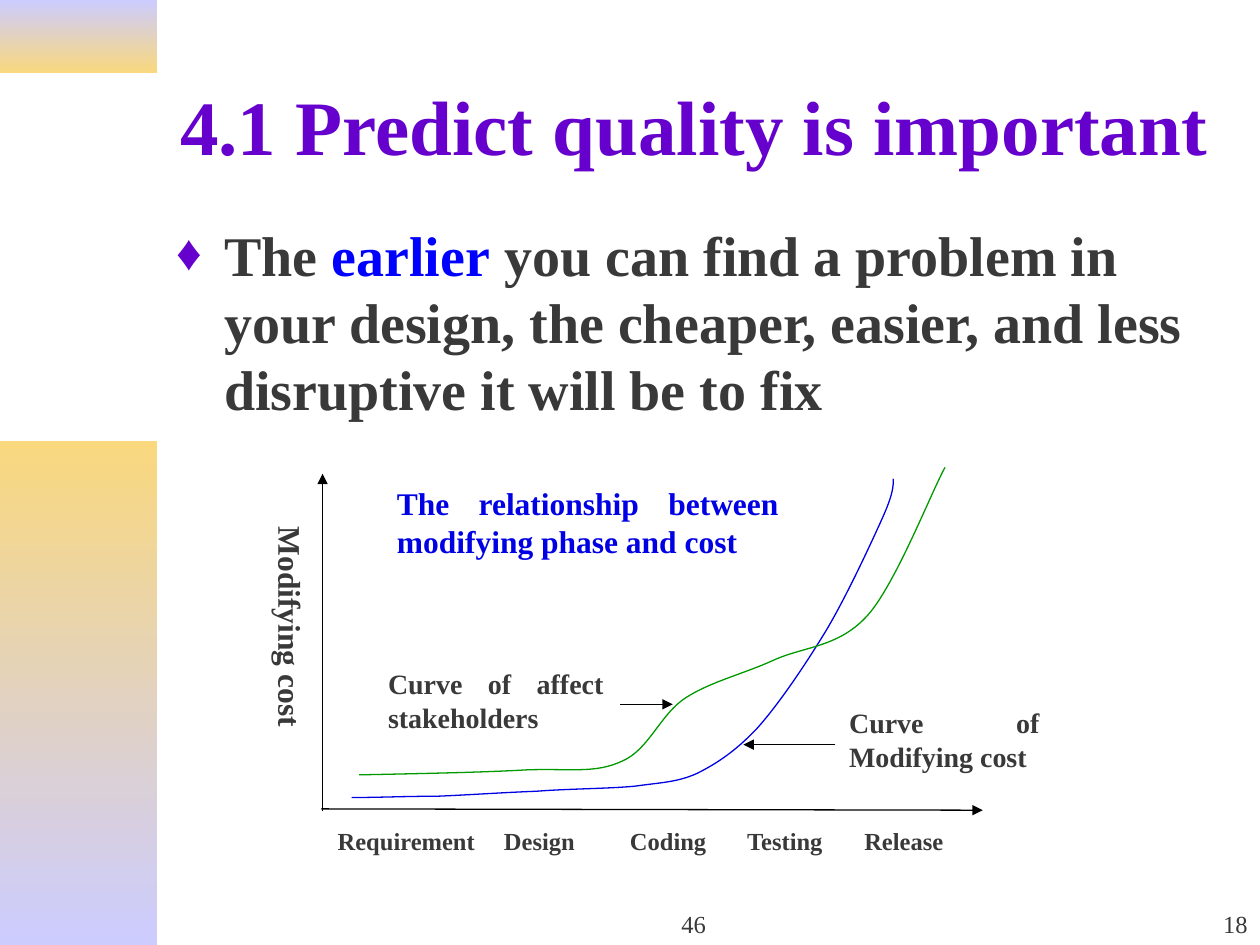
from lxml.etree import SubElement
from pptx import Presentation
from pptx.dml.color import RGBColor
from pptx.enum.shapes import MSO_CONNECTOR, MSO_SHAPE
from pptx.enum.text import MSO_ANCHOR, MSO_AUTO_SIZE, PP_ALIGN
from pptx.oxml.ns import qn
from pptx.util import Inches, Pt

COLORS = {
    "title": "6600CC", "text": "393939", "accent": "0000FF",
    "cost": "0000E5", "stakeholders": "009900", "axis": "000000",
    "lavender": "CCCCFF", "gold": "F9D87E",
}
FONT = "Times New Roman"
LABEL_INSETS = (0.06, 0.01)
BOX_INSETS = (0.1, 0.05)


def rgb(name):
    """Return the palette colour with this name."""
    return RGBColor.from_string(COLORS[name])


class SlideBuilder:
    """Holds the shared style and the slide being built."""

    def __init__(self, slide):
        self.slide = slide
        self.shapes = slide.shapes

    def style(self, run, size, color="text", bold=True):
        """Format one run of text."""
        run.font.name = FONT
        run.font.size = Pt(size)
        run.font.bold = bold
        run.font.color.rgb = rgb(color)

    def title(self, text, box):
        """Fill and place the title placeholder."""
        heading = self.shapes.title
        heading.left, heading.top, heading.width, heading.height = map(Inches, box)
        frame = heading.text_frame
        frame.text = text
        frame.auto_size = MSO_AUTO_SIZE.NONE
        frame.vertical_anchor = MSO_ANCHOR.MIDDLE
        frame.paragraphs[0].alignment = PP_ALIGN.LEFT
        self.style(frame.paragraphs[0].runs[0], 44, "title")

    def band(self, box, first, last):
        """Add a rectangle shaded from top to bottom."""
        band = self.shapes.add_shape(MSO_SHAPE.RECTANGLE, *map(Inches, box))
        band.shadow.inherit = False
        band.line.fill.background()
        band.fill.gradient()
        band.fill.gradient_angle = 270
        for stop, color in zip(band.fill.gradient_stops, (first, last)):
            stop.color.rgb = rgb(color)

    def text(self, text, box, size, color="text", bold=True, align=PP_ALIGN.JUSTIFY,
             anchor=MSO_ANCHOR.TOP, insets=LABEL_INSETS):
        """Add a wrapped text box and return its frame."""
        frame = self.shapes.add_textbox(*map(Inches, box)).text_frame
        frame.word_wrap = True
        frame.vertical_anchor = anchor
        frame.margin_left = frame.margin_right = Inches(insets[0])
        frame.margin_top = frame.margin_bottom = Inches(insets[1])
        frame.text = text
        frame.paragraphs[0].alignment = align
        self.style(frame.paragraphs[0].runs[0], size, color, bold)
        return frame

    def bullet(self, parts, box):
        """Add a diamond bullet made of (text, colour) parts."""
        first, *others = parts
        frame = self.text(first[0], box, 32, first[1], align=PP_ALIGN.LEFT, insets=BOX_INSETS)
        paragraph = frame.paragraphs[0]
        for words, color in others:
            run = paragraph.add_run()
            run.text = words
            self.style(run, 32, color)
        properties = paragraph._p.get_or_add_pPr()
        properties.set("marL", str(Inches(0.38)))
        properties.set("indent", str(-Inches(0.38)))
        bullet_color = SubElement(properties, qn("a:buClr"))
        SubElement(bullet_color, qn("a:srgbClr"), val=COLORS["title"])
        SubElement(properties, qn("a:buSzPct"), val="90000")
        SubElement(properties, qn("a:buFont"), typeface=FONT)
        SubElement(properties, qn("a:buChar"), char="♦")

    def vertical_text(self, text, box, size):
        """Add text that reads from top to bottom."""
        frame = self.text(text, box, size, insets=(0.01, 0.02))
        frame._txBody.bodyPr.set("vert", "eaVert")

    def arrow(self, start, end):
        """Add a thin line with an arrowhead at its end."""
        arrow = self.shapes.add_connector(
            MSO_CONNECTOR.STRAIGHT, *map(Inches, (*start, *end)))
        arrow.line.color.rgb = rgb("axis")
        arrow.line.width = Pt(0.75)
        SubElement(arrow.line._get_or_add_ln(), qn("a:tailEnd"), type="triangle")
        SubElement(arrow._element.spPr, qn("a:effectLst"))

    def curve(self, start, segments, color):
        """Add an open outline of cubic Bezier segments."""
        outline = self.shapes.build_freeform(*map(Inches, start))
        ends = [tuple(map(Inches, segment[4:])) for segment in segments]
        outline.add_line_segments(ends, close=False)
        curve = outline.convert_to_shape()
        lines = list(curve._element.iter(qn("a:lnTo")))
        for line, segment in zip(lines, segments):
            bezier = SubElement(line.getparent(), qn("a:cubicBezTo"))
            for x, y in zip(segment[::2], segment[1::2]):
                SubElement(bezier, qn("a:pt"), x=str(Inches(x) - curve.left),
                           y=str(Inches(y) - curve.top))
            line.getparent().replace(line, bezier)
        curve.shadow.inherit = False
        curve.fill.background()
        curve.line.color.rgb = rgb(color)
        curve.line.width = Pt(0.75)


def main():
    """Build the slide and save it."""
    deck = Presentation()
    deck.slide_width, deck.slide_height = Inches(10), Inches(7.5)
    builder = SlideBuilder(deck.slides.add_slide(deck.slide_layouts[5]))

    builder.band((0, 0, 1.25, 0.58), "lavender", "gold")
    builder.band((0, 3.5, 1.25, 4), "gold", "lavender")
    builder.title("4.1 Predict quality is important", (1.33, 0.33, 8.5, 1.32))
    builder.bullet([
        ("The ", "text"),
        ("earlier", "accent"),
        (" you can find a problem in your design, the cheaper, easier, "
         "and less disruptive it will be to fix", "text"),
    ], (1.3, 1.7, 8.5, 2.05))

    for number, left, width, align in (
        ("46", 3.92, 3.17, PP_ALIGN.CENTER),
        ("18", 7.92, 2.08, PP_ALIGN.RIGHT),
    ):
        builder.text(number, (left, 7, width, 0.5), 14, bold=False, align=align,
                     anchor=MSO_ANCHOR.BOTTOM, insets=BOX_INSETS)

    builder.arrow((2.55, 6.42), (7.8, 6.43))
    builder.arrow((2.56, 6.44), (2.56, 3.76))
    builder.vertical_text("Modifying cost", (2.13, 4.16, 0.34, 1.75), 18)
    for phase, left, width in (
        ("Requirement", 2.62, 1.32),
        ("Design", 3.94, 0.74),
        ("Coding", 4.94, 0.74),
        ("Testing", 5.87, 0.74),
        ("Release", 6.8, 0.93),
    ):
        builder.text(phase, (left, 6.55, width, 0.26), 14)

    builder.curve((2.79, 6.33), [
        (3.01, 6.33, 3.22, 6.32, 3.47, 6.32),
        (3.71, 6.31, 4, 6.29, 4.26, 6.28),
        (4.52, 6.26, 4.83, 6.26, 5.04, 6.24),
        (5.25, 6.21, 5.37, 6.21, 5.53, 6.14),
        (5.69, 6.06, 5.84, 5.96, 6.01, 5.78),
        (6.18, 5.59, 6.39, 5.28, 6.56, 5),
        (6.72, 4.73, 6.91, 4.32, 7, 4.12),
        (7.09, 3.92, 7.09, 3.86, 7.09, 3.8),
    ], "cost")
    builder.curve((2.85, 6.15), [
        (3.35, 6.14, 3.85, 6.13, 4.19, 6.11),
        (4.54, 6.1, 4.73, 6.14, 4.94, 6.04),
        (5.15, 5.95, 5.24, 5.67, 5.44, 5.54),
        (5.64, 5.41, 5.9, 5.35, 6.14, 5.24),
        (6.38, 5.13, 6.66, 5.14, 6.89, 4.88),
        (7.11, 4.63, 7.39, 3.91, 7.5, 3.71),
    ], "stakeholders")

    builder.text("Curve of Modifying cost", (6.68, 5.59, 1.63, 0.56), 16)
    builder.text("Curve of affect stakeholders", (3.02, 5.28, 1.83, 0.64), 16)
    builder.arrow((4.92, 5.59), (5.34, 5.59))
    builder.arrow((6.63, 5.91), (5.9, 5.91))
    builder.text("The relationship between modifying phase and cost",
                 (3.09, 3.83, 3.15, 0.64), 18, "cost")

    deck.save("out.pptx")


if __name__ == "__main__":
    main()
